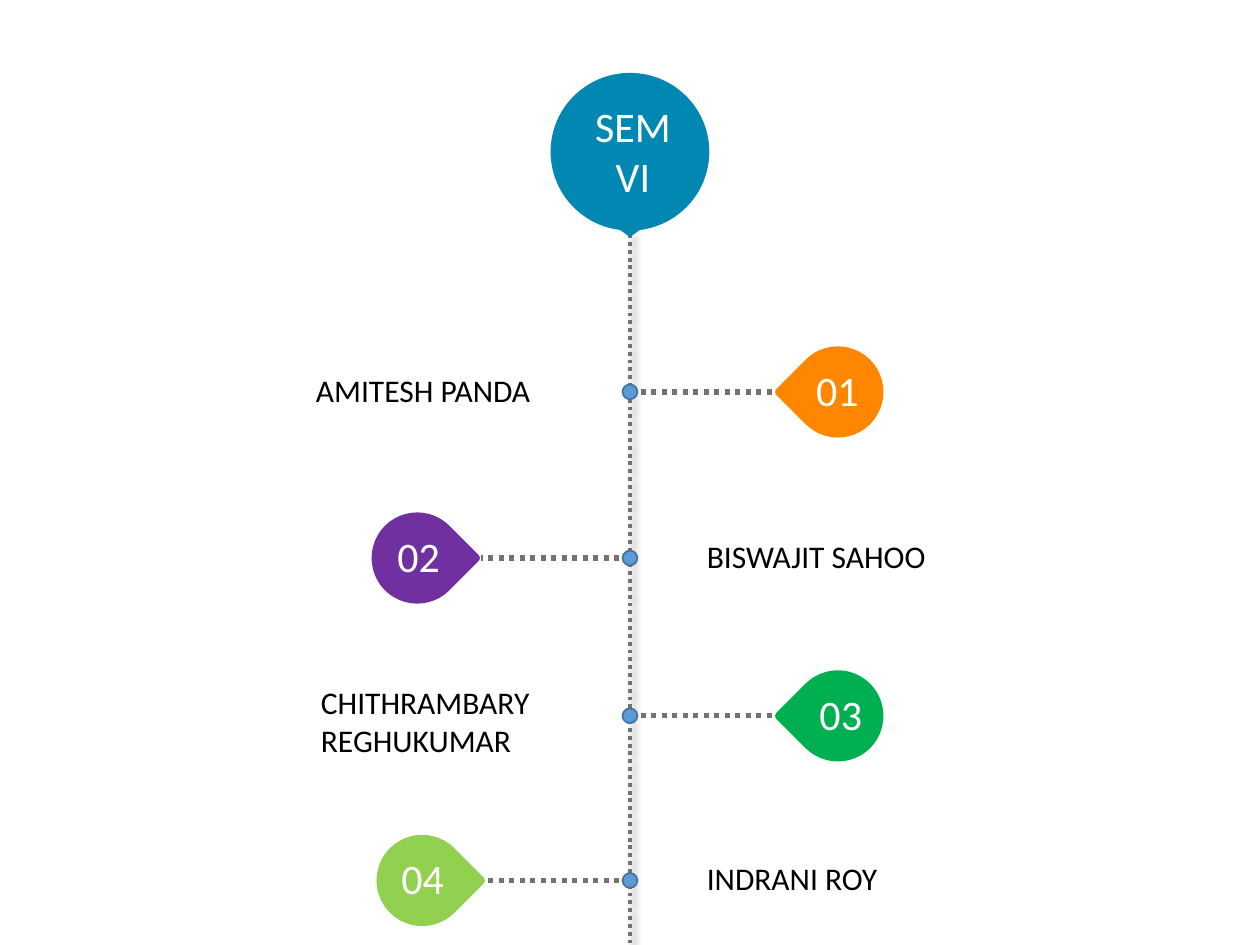
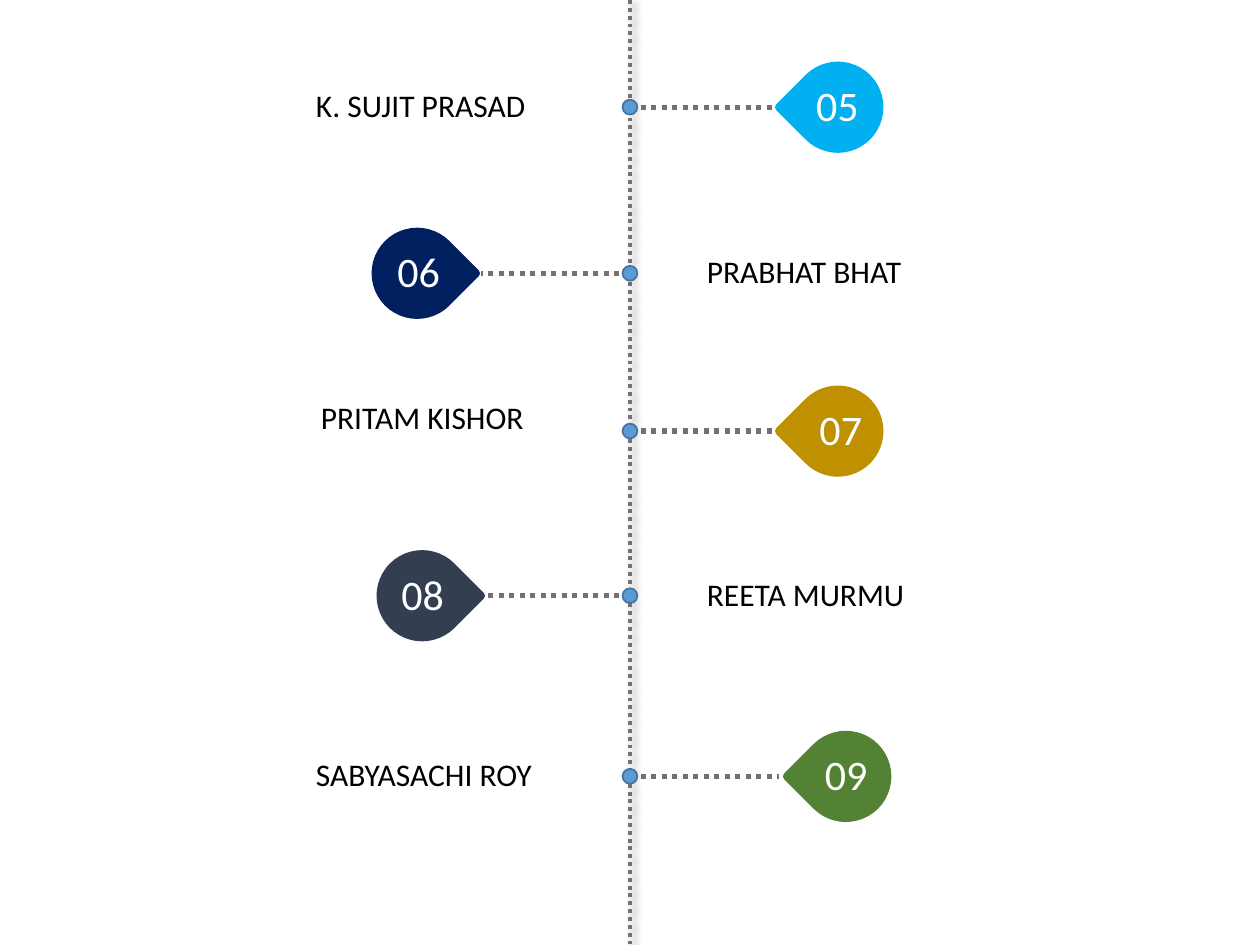
from lxml import etree
from pptx import Presentation
from pptx import util as u
from pptx.dml.color import RGBColor
from pptx.enum import dml, shapes, text
from pptx.oxml import ns

BLUE = RGBColor(0x00, 0x87, 0xB2)
DOT_FILL = RGBColor(0x5B, 0x9B, 0xD5)
DOT_EDGE = RGBColor(0x43, 0x73, 0x9E)
GREY = RGBColor(0x76, 0x71, 0x71)
WHITE = RGBColor(0xFF, 0xFF, 0xFF)
BLACK = RGBColor(0x00, 0x00, 0x00)
ORANGE = RGBColor(0xFF, 0x86, 0x01)
PURPLE = RGBColor(0x70, 0x30, 0xA0)
GREEN = RGBColor(0x00, 0xB0, 0x50)
LIME = RGBColor(0x92, 0xD0, 0x50)
SKY = RGBColor(0x00, 0xB0, 0xF0)
NAVY = RGBColor(0x00, 0x20, 0x60)
GOLD = RGBColor(0xBF, 0x90, 0x00)
SLATE = RGBColor(0x33, 0x3F, 0x50)
FOREST = RGBColor(0x54, 0x82, 0x35)

NUMBER_FORMAT = {"name": "Calibri", "size": u.Pt(24)}
NAME_FORMAT = {"name": "Calibri", "size": u.Pt(18)}
EFFECTS = f'<a:effectLst {ns.nsdecls("a")}/>'
SHADOW = (
    f'<a:effectLst {ns.nsdecls("a")}><a:outerShdw blurRad="50800" dist="38100" dir="2700000" '
    'algn="tl" rotWithShape="0"><a:srgbClr val="000000"><a:alpha val="40000"/></a:srgbClr>'
    '</a:outerShdw></a:effectLst>'
)

CENTRE = 12.7
PAGE_HEIGHT = 19.05
DOT_SIZE = 0.3
DROP_SIZE = 1.68

SLOTS = [
    {"tip": 15.7, "turn": 225, "drop": 16.05, "number": 15.7, "name": 6.12, "width": 4.95, "rise": 0.55},
    {"tip": 9.7, "turn": 45, "drop": 7.57, "number": 7.26, "name": 14, "width": 7.04, "rise": 0.55},
    {"tip": 15.7, "turn": 225, "drop": 16.05, "number": 15.77, "name": 6.22, "width": 4.9, "rise": 0.79},
    {"tip": 9.7, "turn": 45, "drop": 7.67, "number": 7.34, "name": 14, "width": 7.04, "rise": 0.55},
    {"tip": 15.7, "turn": 225, "drop": 16.21, "number": 15.88, "name": 6.12, "width": 4.95, "rise": 0.55},
]
PAGES = [
    {"spine_top": 4.72, "people": [
        (7.9, "AMITESH PANDA", ORANGE),
        (11.25, "BISWAJIT SAHOO", PURPLE),
        (14.43, "CHITHRAMBARY REGHUKUMAR", GREEN),
        (17.75, "INDRANI ROY", LIME),
    ]},
    {"spine_top": 0, "people": [
        (2.16, "K. SUJIT PRASAD", SKY),
        (5.51, "PRABHAT BHAT", NAVY),
        (8.69, "PRITAM KISHOR", GOLD),
        (12.01, "REETA MURMU", SLATE),
        (15.65, "SABYASACHI ROY", FOREST),
    ]},
]


def draw(parent, kind, area, fill, edge=None, weight=1):
    shape = parent.shapes.add_shape(kind, *map(u.Cm, area))
    shape.shadow.inherit = False
    shape.fill.solid()
    shape.fill.fore_color.rgb = fill
    if edge is None:
        shape.line.fill.background()
    else:
        shape.line.color.rgb = edge
        shape.line.width = u.Pt(weight)
    return shape


def write(page, area, lines, formats, color, align):
    box = page.shapes.add_textbox(*map(u.Cm, area))
    frame = box.text_frame
    frame.word_wrap = True
    frame.auto_size = text.MSO_AUTO_SIZE.SHAPE_TO_FIT_TEXT
    frame.text = "\n".join(lines)
    for para in frame.paragraphs:
        para.alignment = align
        for span in para.runs:
            span.font.color.rgb = color
            for key, value in formats.items():
                setattr(span.font, key, value)
    return box


deck = Presentation()
deck.slide_width = u.Cm(25.4)
deck.slide_height = u.Cm(PAGE_HEIGHT)
count = 0

for content in PAGES:
    page = deck.slides.add_slide(deck.slide_layouts[6])
    people = content["people"]

    lines = [(CENTRE, y, slot["tip"], y, 3, EFFECTS) for slot, (y, _, _) in zip(SLOTS, people)]
    lines.append((CENTRE, content["spine_top"], CENTRE, PAGE_HEIGHT, 2.25, SHADOW))
    for *ends, weight, effects in lines:
        line = page.shapes.add_connector(shapes.MSO_CONNECTOR.STRAIGHT, *map(u.Cm, ends))
        line.line.color.rgb = GREY
        line.line.width = u.Pt(weight)
        line.line.dash_style = dml.MSO_LINE.ROUND_DOT
        line._element.spPr.append(etree.fromstring(effects))

    for slot, (y, name, color) in zip(SLOTS, people):
        count += 1
        draw(page, shapes.MSO_SHAPE.FLOWCHART_CONNECTOR,
             (CENTRE - DOT_SIZE / 2, y - DOT_SIZE / 2, DOT_SIZE, DOT_SIZE), DOT_FILL, DOT_EDGE)
        drop = draw(page, shapes.MSO_SHAPE.TEAR,
                    (slot["drop"], y - DROP_SIZE / 2, DROP_SIZE, DROP_SIZE), color, color, 4.5)
        drop.rotation = slot["turn"]
        write(page, (slot["number"], y - 0.68, 2.36, 1.27), [f"{count:02}"],
              NUMBER_FORMAT, WHITE, text.PP_ALIGN.CENTER)
        height = 1.8 if len(name) > 20 else 1.02
        write(page, (slot["name"], y - slot["rise"], slot["width"], height), [name],
              NAME_FORMAT, BLACK, text.PP_ALIGN.LEFT)

first = deck.slides[0]
badge = first.shapes.add_group_shape()
draw(badge, shapes.MSO_SHAPE.OVAL, (11.1, 1.47, 3.2, 3.18), BLUE)
draw(badge, shapes.MSO_SHAPE.DIAMOND, (12.45, 4.42, 0.5, 0.36), BLUE)
heading = write(first, (11.53, 1.9, 2.46, 2.31), ["SEM", "VI"],
                NUMBER_FORMAT, WHITE, text.PP_ALIGN.CENTER)
for para in heading.text_frame.paragraphs:
    for span in para.runs:
        fill = span.font._element.find(ns.qn("a:solidFill"))
        fill.addnext(etree.fromstring(SHADOW))

deck.save("out.pptx")
